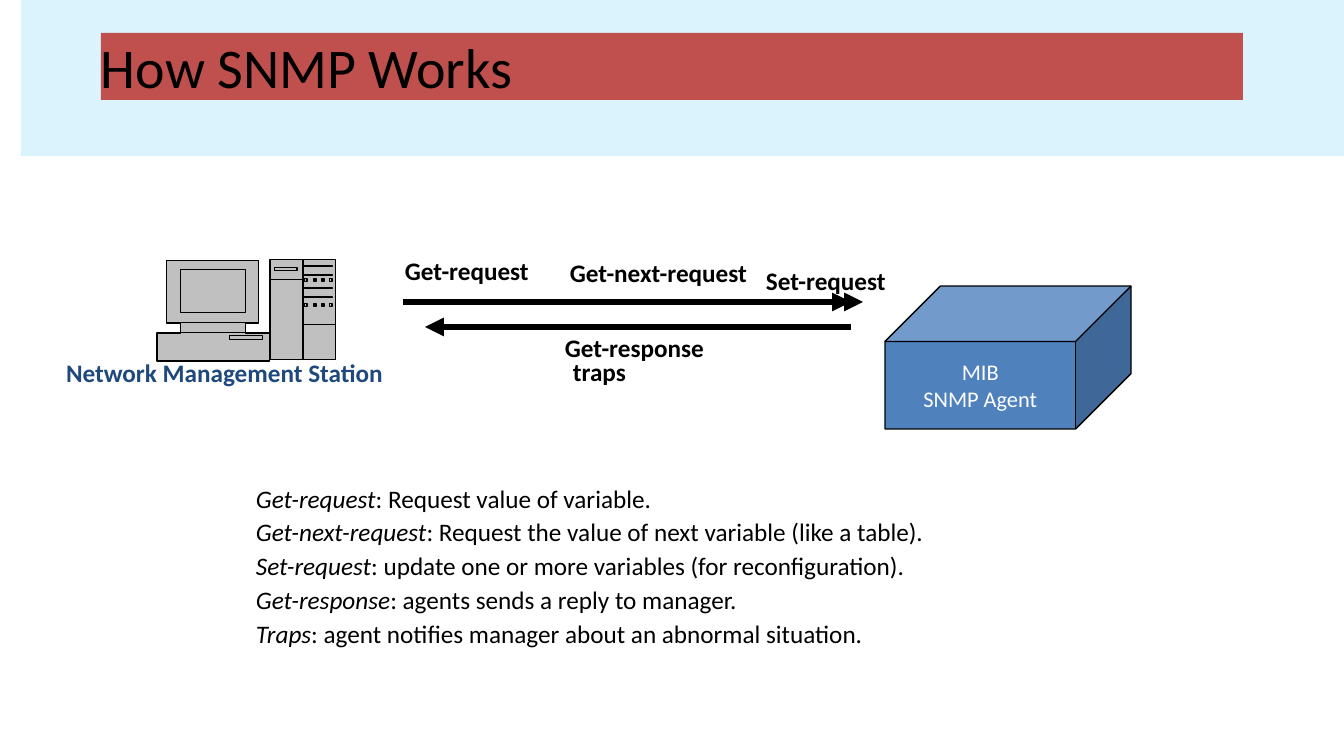
from lxml import etree
from pptx import Presentation
from pptx import util as u
from pptx.dml.color import RGBColor
from pptx.enum import shapes, text
from pptx.oxml.ns import qn

PX = 914400 / 100.8
FONT = "Calibri"
BLACK = RGBColor(0, 0, 0)
WHITE = RGBColor(255, 255, 255)
PALE = RGBColor(0xDA, 0xF3, 0xFD)
RED = RGBColor(0xC0, 0x50, 0x4D)
BLUE = RGBColor(0x4F, 0x81, 0xBD)
NAVY = RGBColor(0x1F, 0x49, 0x7D)
GREY = RGBColor(0xC0, 0xC0, 0xC0)
LEFT, CENTER = text.PP_ALIGN.LEFT, text.PP_ALIGN.CENTER


def px(*lengths):
    return [u.Emu(round(n * PX)) for n in lengths]


def paint(sp, fill, line=None, width=0.75):
    sp.shadow.inherit = False
    if fill is None:
        sp.fill.background()
    else:
        sp.fill.solid()
        sp.fill.fore_color.rgb = fill
    if line is None:
        sp.line.fill.background()
    else:
        sp.line.color.rgb = line
        sp.line.width = u.Pt(width)
    return sp


def add_box(s, x, y, w, h, fill, line=None, width=0.75,
            kind=shapes.MSO_SHAPE.RECTANGLE):
    return paint(s.shapes.add_shape(kind, *px(x, y, w, h)), fill, line, width)


def add_outline(s, x, y, contours, fill=None):
    """Draw contours, given relative to x, y, as one shape."""
    placed = [[(x + dx, y + dy) for dx, dy in c] for c in contours]
    fb = s.shapes.build_freeform(*placed[0][0], scale=PX)
    for i, points in enumerate(placed):
        if i:
            fb.move_to(*points[0])
        fb.add_line_segments(points[1:], close=False)
    paint(fb.convert_to_shape(), fill, BLACK)


def ring(x, y, w, h):
    return [(x, y), (x + w, y), (x + w, y + h), (x, y + h), (x, y)]


def add_arrow(s, x1, x2, y):
    c = s.shapes.add_connector(shapes.MSO_CONNECTOR.STRAIGHT, *px(x1, y, x2, y))
    c.line.color.rgb = BLACK
    c.line.width = u.Pt(4.5)
    etree.SubElement(c.line._get_or_add_ln(), qn("a:tailEnd"), type="triangle")
    etree.SubElement(c._element.spPr, qn("a:effectLst"))


def style(p, size, color, align=LEFT, bold=False):
    p.alignment = align
    for r in p.runs:
        r.font.name = FONT
        r.font.size = u.Pt(size)
        r.font.color.rgb = color
        r.font.bold = bold


def add_text(s, x, y, w, h=40):
    tf = s.shapes.add_textbox(*px(x, y, w, h)).text_frame
    tf.word_wrap = True
    return tf.paragraphs[0]


def add_label(s, x, y, w, label, color=BLACK, align=LEFT):
    p = add_text(s, x, y, w)
    p.text = label
    style(p, 18, color, align, bold=True)


def header(s, x, y, w, h):
    add_box(s, x, y, w, h, PALE)
    sp = add_box(s, x + 80, y + 33, w - 181, 67, RED)
    tf = sp.text_frame
    tf.margin_left = tf.margin_right = tf.margin_top = tf.margin_bottom = 0
    tf.vertical_anchor = text.MSO_ANCHOR.TOP
    tf.text = "How SNMP Works"
    style(tf.paragraphs[0], 40, BLACK)


def tower(s, x, y, w, h):
    add_box(s, x, y, w, h, GREY, BLACK)
    mid = w // 2
    # Seams and disk slot
    details = [[(0, 20), (mid, 20)], [(mid, 0), (mid, h)],
               [(mid, 65), (w, 65)], ring(5, 8, 22, 3)]
    # Drive bars and two rows of lights
    details += [ring(mid + 2, dy, 27, 1) for dy in (6, 15, 28, 37)]
    details += [ring(mid + dx, dy, 2, 3) for dy in (19, 44) for dx in (2, 11, 19, 27)]
    add_outline(s, x, y, details)


def monitor(s, x, y, w, h):
    right, base = w - 24, h - 28
    silhouette = [(10, 0), (w - 11, 0), (w - 11, 63), (right, 63), (right, base),
                  (w, base), (w, h), (0, h), (0, base), (24, base), (24, 63),
                  (10, 63), (10, 0)]
    add_outline(s, x, y, [silhouette], GREY)
    # Stand, screen and disk slot
    add_outline(s, x, y, [ring(24, 63, right - 24, base - 63),
                          ring(24, 10, right - 24, 43), ring(73, 76, 33, 4)])


def station(s, x, y, w, h):
    tower(s, x + w - 66, y, 66, h - 1)
    monitor(s, x, y, w - 66, h)
    add_label(s, x - 112, y + h - 9, 359, "Network Management Station", NAVY, CENTER)


def messages(s, x, y, w, h):
    # Requests go to the agent, replies come back
    for x1, x2, dy in ((0, w, 52), (0, w - 12, 52), (w - 12, 22, 77)):
        add_arrow(s, x + x1, x + x2, y + dy)
    for label, dx, dy, dw in (("Get-request", -8, 0, 202),
                              ("Get-next-request", 157, 2, 280),
                              ("Set-request", 353, 10, 190),
                              ("Get-response", 152, h - 64, 235),
                              ("traps", 160, h - 40, 258)):
        add_label(s, x + dx, y + dy, dw, label)


def agent(s, x, y, w, h):
    sp = add_box(s, x, y, w, h, BLUE, BLACK, 1, shapes.MSO_SHAPE.CUBE)
    sp.adjustments[0] = 0.388
    tf = sp.text_frame
    tf.word_wrap = False
    tf.vertical_anchor = text.MSO_ANCHOR.MIDDLE
    tf.text = "MIB\nSNMP Agent"
    for p in tf.paragraphs:
        style(p, 16, WHITE, CENTER)


def definitions(s, x, y, w, h):
    rows = (("Get-request", "Request value of variable."),
            ("Get-next-request", "Request the value of next variable (like a table)."),
            ("Set-request", "update one or more variables (for reconfiguration)."),
            ("Get-response", "agents sends a reply to manager."),
            ("Traps", "agent notifies manager about an abnormal situation."))
    for i, (term, meaning) in enumerate(rows):
        p = add_text(s, x, y + i * h / len(rows), w)
        p.add_run().text = term
        p.add_run().text = ": " + meaning
        style(p, 18, BLACK)
        p.runs[0].font.italic = True


def main():
    prs = Presentation()
    prs.slide_width, prs.slide_height = px(1344, 756)
    s = prs.slides.add_slide(prs.slide_layouts[6])
    header(s, 21, 0, 1323, 156)
    agent(s, 885, 286, 246, 143)
    definitions(s, 246, 478, 930, 169)
    messages(s, 403, 250, 460, 141)
    station(s, 157, 260, 179, 101)
    prs.save("out.pptx")


if __name__ == "__main__":
    main()
